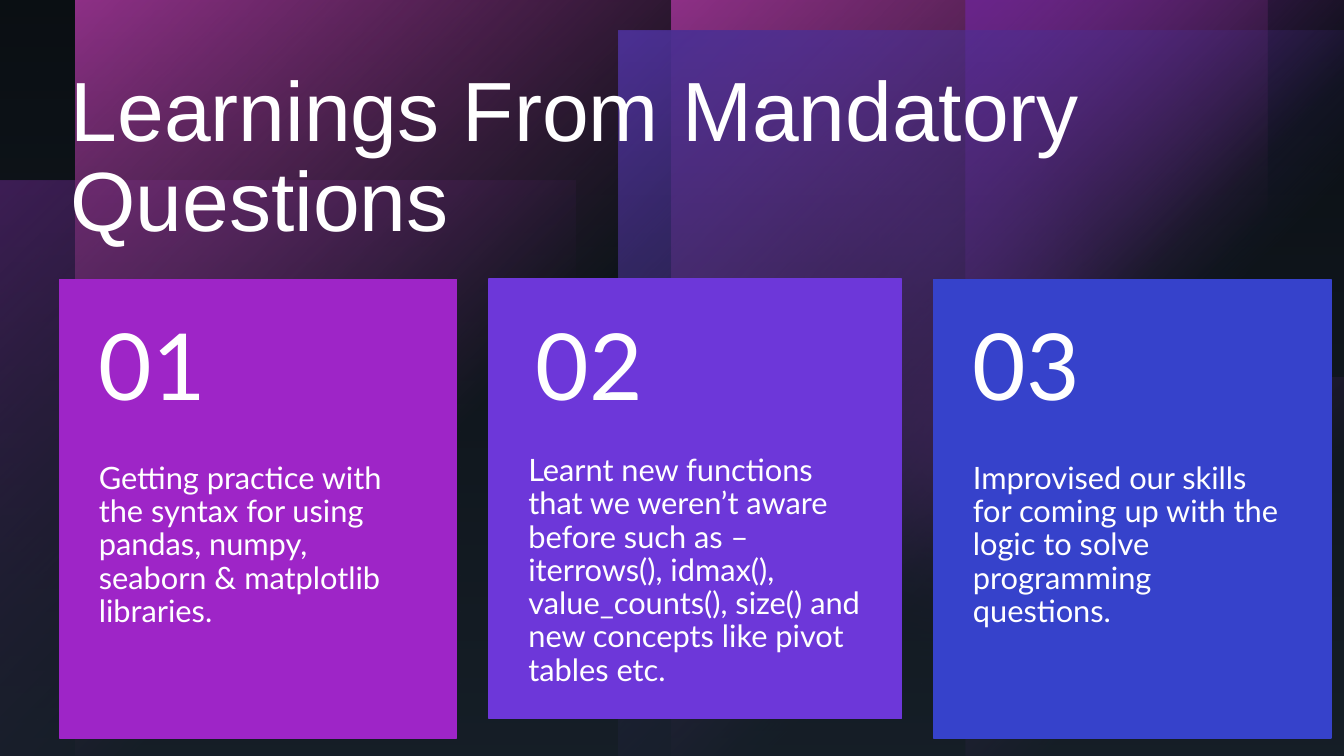
import lxml.etree
import pptx
import pptx.dml.color
import pptx.enum.shapes
import pptx.enum.text
import pptx.oxml
import pptx.oxml.ns
import pptx.util

Inches = pptx.util.Inches
Pt = pptx.util.Pt
qn = pptx.oxml.ns.qn
Anchor = pptx.enum.text.MSO_ANCHOR
Preset = pptx.enum.shapes.MSO_SHAPE

WHITE = "FFFFFF"
PINK = "D937BE"
MAGENTA = "9E25C7"
VIOLET = "6D37D9"
BLUE = "3642CB"
SLATE = "1C2732"
CORNER = '<a:path path="circle"><a:fillToRect r="100000" b="100000"/></a:path>'
DOWNWARD = '<a:lin ang="5400000" scaled="0"/>'

PANELS = [
    ((0, 1.79, 5.71, 5.71), MAGENTA, 60, 270, False),
    ((6.66, 0, 5.91, 7.5), PINK, 100, 0, False),
    ((0.75, 0, 5.91, 7.5), PINK, 100, 0, True),
    ((9.58, 3.75, 3.75, 3.75), MAGENTA, 100, 90, False),
    ((9.58, 0, 3.75, 3.75), MAGENTA, 100, 90, True),
    ((6.13, 0.3, 7.21, 7.21), VIOLET, 100, 180, False),
]
GLOWS = [
    ((6.98, 0, 4.72, 4.72), VIOLET, 96),
    ((6.69, 1.35, 6.02, 6.02), MAGENTA, 60),
]
CARDS = [
    ((0.59, 2.77, 3.94, 4.55), MAGENTA, "01",
     "Getting practice with the syntax for using pandas, numpy, seaborn & matplotlib libraries."),
    ((4.85, 2.77, 4.09, 4.36), VIOLET, "02",
     "Learnt new functions that we weren’t aware before such as – iterrows(), idmax(), "
     "value_counts(), size() and new concepts like pivot tables etc."),
    ((9.26, 2.77, 3.94, 4.55), BLUE, "03",
     "Improvised our skills for coming up with the logic to solve programming questions."),
]


def color(value):
    return pptx.dml.color.RGBColor.from_string(value)


def add_block(slide, box, preset=Preset.RECTANGLE):
    shape = slide.shapes.add_shape(preset, *map(Inches, box))
    shape.shadow.inherit = False
    shape.line.fill.background()
    return shape


def fill_solid(shape, value, opacity=100):
    shape.fill.solid()
    shape.fill.fore_color.rgb = color(value)
    if opacity < 100:
        swatch = shape.element.spPr.find(".//" + qn("a:srgbClr"))
        lxml.etree.SubElement(swatch, qn("a:alpha")).set("val", str(opacity * 1000))


def fill_gradient(shape, stops, direction):
    marks = "".join(
        f'<a:gs pos="{position * 1000}"><a:srgbClr val="{value}">'
        f'<a:alpha val="{opacity * 1000}"/></a:srgbClr></a:gs>'
        for position, value, opacity in stops
    )
    gradient = pptx.oxml.parse_xml(
        f'<a:gradFill {pptx.oxml.ns.nsdecls("a")} rotWithShape="1">'
        f"<a:gsLst>{marks}</a:gsLst>{direction}</a:gradFill>"
    )
    shape.fill.gradient()
    properties = shape.element.spPr
    properties.replace(properties.find(qn("a:gradFill")), gradient)


def write_text(shape, text, size, font, anchor=Anchor.TOP, insets=(0.1, 0.05, 0.1, 0.05)):
    frame = shape.text_frame
    frame.word_wrap = True
    frame.auto_size = pptx.enum.text.MSO_AUTO_SIZE.NONE
    frame.vertical_anchor = anchor
    frame.margin_left, frame.margin_top, frame.margin_right, frame.margin_bottom = map(Inches, insets)
    paragraph = frame.paragraphs[0]
    paragraph.alignment = pptx.enum.text.PP_ALIGN.LEFT
    paragraph.line_spacing = 0.9
    run = paragraph.add_run()
    run.text = text
    run.font.size = Pt(size)
    run.font.name = font
    run.font.color.rgb = color(WHITE)


def add_panel(slide, box, value, opacity, rotation, flipped):
    panel = add_block(slide, box)
    panel.rotation = rotation
    if flipped:
        panel.element.spPr.find(qn("a:xfrm")).set("flipH", "1")
    fill_gradient(panel, [(0, value, opacity), (60, value, 0)], CORNER)


def add_glow(slide, box, value, opacity):
    glow = add_block(slide, box, Preset.OVAL)
    fill_solid(glow, value, opacity)
    effects = glow.element.spPr.find(qn("a:effectLst"))
    lxml.etree.SubElement(effects, qn("a:softEdge")).set("rad", str(Pt(100)))


def add_backdrop(slide, box):
    slide.background.fill.solid()
    slide.background.fill.fore_color.rgb = color("000000")
    add_panel(slide, *PANELS[0])
    for glow in GLOWS:
        add_glow(slide, *glow)
    for panel in PANELS[1:]:
        add_panel(slide, *panel)
    veil = add_block(slide, box)
    fill_gradient(veil, [(0, SLATE, 40), (100, SLATE, 80)], DOWNWARD)


def place_title(slide, box, text):
    title = slide.shapes.title
    title.left, title.top, title.width, title.height = map(Inches, box)
    write_text(title, text, 60, "Arial", Anchor.MIDDLE)
    title.element.getparent().append(title.element)


def add_card(slide, box, value, number, text):
    left, top, width, height = box
    card = add_block(slide, box)
    fill_solid(card, value)
    card.line.color.rgb = color(value)
    card.line.width = Pt(1)
    body_box = (left, top + 0.4 * height, width, 0.6 * height)
    body = slide.shapes.add_textbox(*map(Inches, body_box))
    write_text(body, text, 22, "Lato", insets=(0.39, 0, 0.39, 0.36))
    number_box = (left + (width - 3.94) / 2, top, 3.94, 1.82)
    label = slide.shapes.add_textbox(*map(Inches, number_box))
    write_text(label, number, 66, "Lato", Anchor.MIDDLE, (0.39, 0.18, 0.39, 0.18))


def main():
    presentation = pptx.Presentation()
    presentation.slide_width = Inches(13.33)
    presentation.slide_height = Inches(7.5)
    slide = presentation.slides.add_slide(presentation.slide_layouts[5])
    add_backdrop(slide, (0, 0, 13.33, 7.5))
    place_title(slide, (0.6, 0.59, 12.11, 1.98), "Learnings From Mandatory Questions")
    for card in CARDS:
        add_card(slide, *card)
    presentation.save("out.pptx")


if __name__ == "__main__":
    main()
